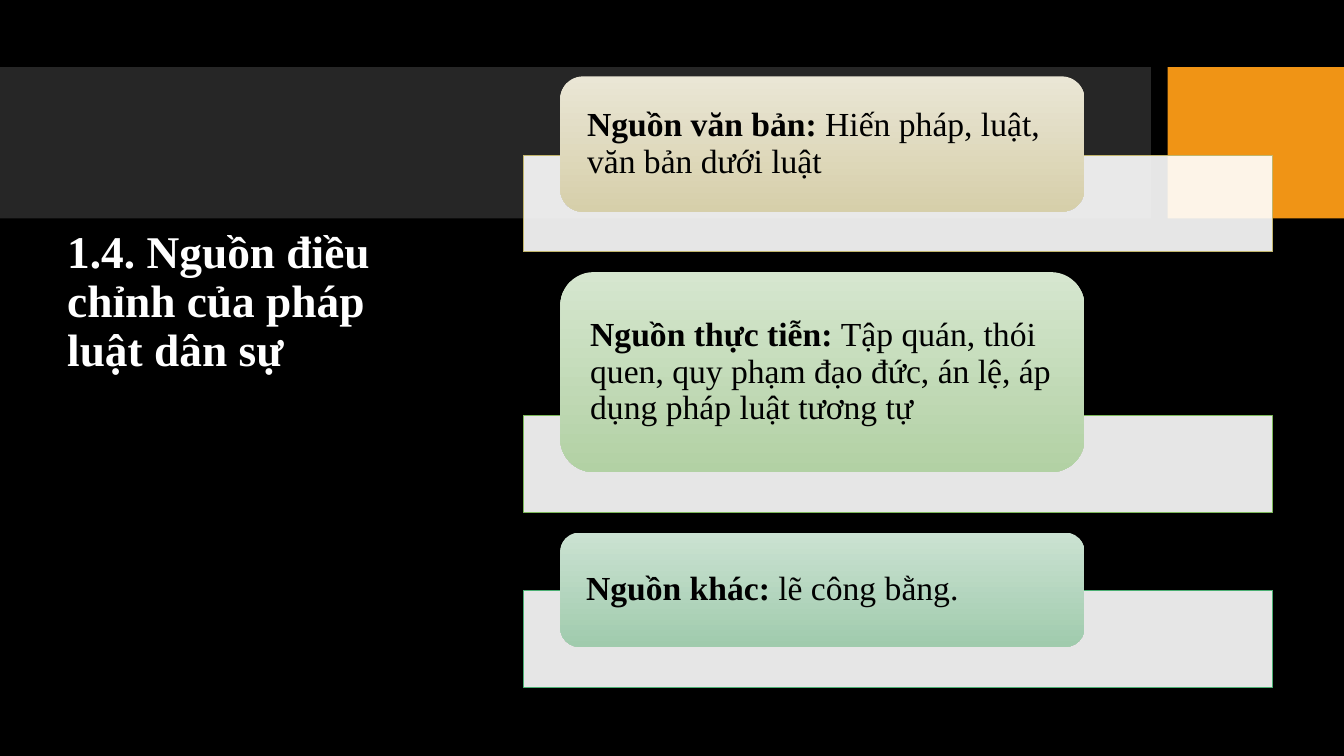
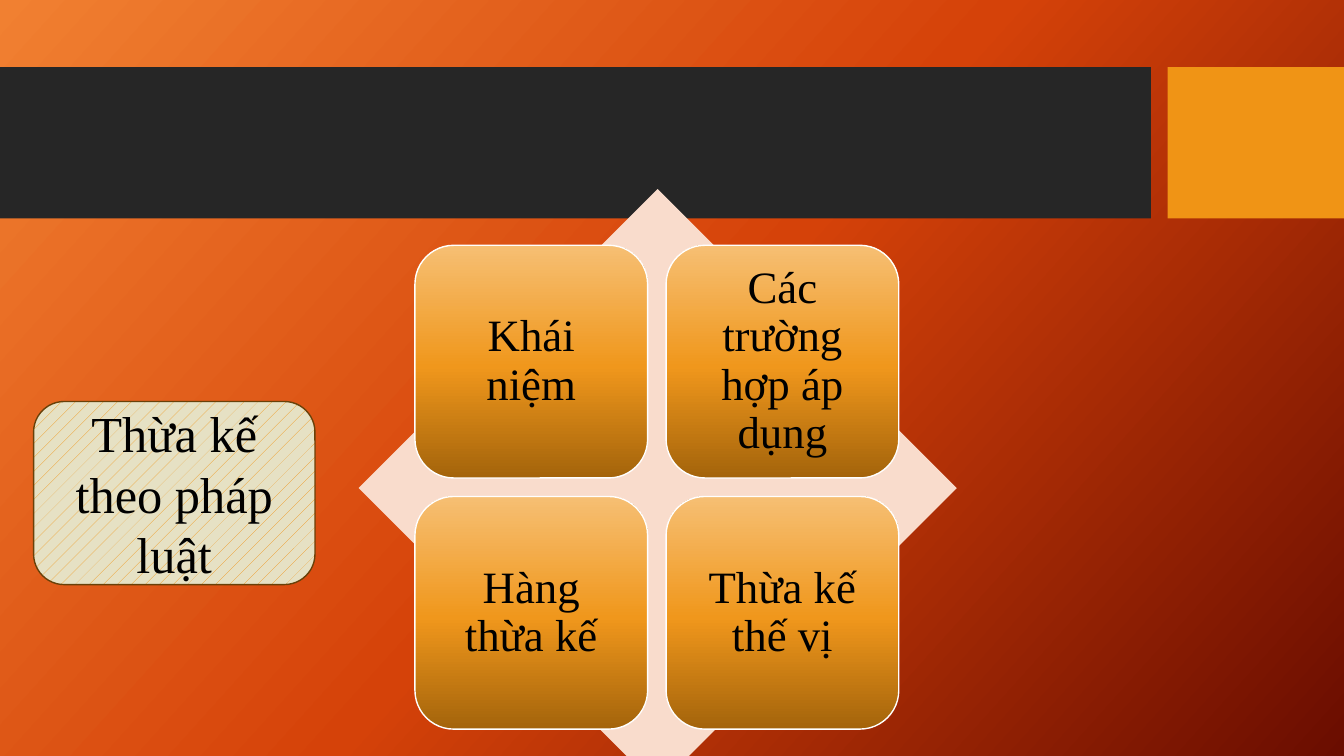
from lxml import etree
from pptx import Presentation, util as u
from pptx.dml.color import RGBColor
from pptx.enum import dml, shapes, text
from pptx.oxml.ns import qn

# Grid: 160 columns by 90 rows, each cell a twelfth of an inch
COLUMNS, ROWS = 160, 90
WIDTH, HEIGHT = u.Inches(13.33), u.Inches(7.5)


def color(hex_string):
    return RGBColor.from_string(hex_string)


def set_gradient(fill, element, stops, angle):
    """Give the fill inside element these (percent, hex) stops; angle is clockwise."""
    fill.gradient()
    fill.gradient_angle = 360 - angle
    stop_list = next(element.iter(qn("a:gsLst")))
    for old_stop in list(stop_list):
        stop_list.remove(old_stop)
    for percent, hex_string in stops:
        stop = etree.SubElement(stop_list, qn("a:gs"), pos=str(percent * 1000))
        etree.SubElement(stop, qn("a:srgbClr"), val=hex_string)


class Deck:
    FONT = "Times New Roman"
    BLACK, WHITE = "000000", "FFFFFF"
    BAND, ACCENT = "262626", "F09415"

    def __init__(self):
        self.presentation = Presentation()
        self.presentation.slide_width = WIDTH
        self.presentation.slide_height = HEIGHT
        self.slide = None

    def box(self, left, top, width, height):
        return (round(left * WIDTH / COLUMNS), round(top * HEIGHT / ROWS),
                round(width * WIDTH / COLUMNS), round(height * HEIGHT / ROWS))

    def add_slide(self, layout_name):
        layout = self.presentation.slide_layouts.get_by_name(layout_name)
        is_first = self.slide is None
        self.slide = self.presentation.slides.add_slide(layout)
        if is_first:
            self.add_master_bands()

    def add_master_bands(self):
        """Draw the two bands once and hand them to the slide master."""
        tree = self.presentation.slide_master.shapes.element
        bands = [(0, 137, self.BAND), (139, 21, self.ACCENT)]
        for index, (left, width, fill) in enumerate(bands):
            band = self.shape("RECTANGLE", (left, 8, width, 18), fill)
            band.element.nvSpPr.cNvPr.set("id", str(100 + index))
            tree.insert(2 + index, band.element)

    def background(self, fill=None, stops=None, angle=0):
        background_fill = self.slide.background.fill
        if stops:
            set_gradient(background_fill, self.slide.element, stops, angle)
        else:
            background_fill.solid()
            background_fill.fore_color.rgb = color(fill)

    def shape(self, kind, place, fill=None, line=None, line_width=1,
              stops=None, angle=0, opacity=100):
        shape = self.slide.shapes.add_shape(
            getattr(shapes.MSO_SHAPE, kind), *self.box(*place))
        shape.shadow.inherit = False
        if stops:
            set_gradient(shape.fill, shape.element, stops, angle)
        else:
            shape.fill.solid()
            shape.fill.fore_color.rgb = color(fill)
        if opacity < 100:
            fill_color = shape.element.spPr.find(qn("a:solidFill"))[0]
            etree.SubElement(fill_color, qn("a:alpha"), val=str(opacity * 1000))
        if line:
            shape.line.color.rgb = color(line)
            shape.line.width = u.Pt(line_width)
        else:
            shape.line.fill.background()
        return shape

    def label(self, shape, parts, size, hex_string=BLACK, align="LEFT",
              spacing=0.9, margins=(0.1, 0.05)):
        """Fill shape with one paragraph of (text, bold) parts."""
        frame = shape.text_frame
        frame.word_wrap = True
        frame.auto_size = text.MSO_AUTO_SIZE.NONE
        frame.vertical_anchor = text.MSO_ANCHOR.MIDDLE
        frame.margin_left = frame.margin_right = u.Inches(margins[0])
        frame.margin_top = frame.margin_bottom = u.Inches(margins[1])
        paragraph = frame.paragraphs[0]
        paragraph.alignment = getattr(text.PP_ALIGN, align)
        paragraph.line_spacing = spacing
        for words, bold in parts:
            run = paragraph.add_run()
            run.text = words
            run.font.name = self.FONT
            run.font.size = u.Pt(size)
            run.font.bold = bold
            run.font.color.rgb = color(hex_string)

    def title(self, words, place):
        title = self.slide.shapes.title
        title.left, title.top, title.width, title.height = self.box(*place)
        self.label(title, [(words, True)], 32.4, self.WHITE)


def build_sources_slide(deck):
    deck.add_slide("Title Only")
    deck.background(deck.BLACK)
    deck.title("1.4. Nguồn điều chỉnh của pháp luật dân sự", (6.8, 27, 44.3, 18))

    # Each card hangs over a pale bar; the next card starts below that bar
    sources = [
        ("Nguồn văn bản: ", "Hiến pháp, luật, văn bản dưới luật",
         16.1, "C1B56B", "EAE6D5", "D6CFAA"),
        ("Nguồn thực tiễn: ",
         "Tập quán, thói quen, quy phạm đạo đức, án lệ, áp dụng pháp luật tương tự",
         23.8, "7DB95A", "D6E6CF", "B2D1A4"),
        ("Nguồn khác: ", "lẽ công bằng.",
         13.6, "4BAF73", "CBE2D2", "A0CBAD"),
    ]
    top, bar_height, overhang, gap = 9.1, 11.5, 4.8, 2.4
    for lead, details, height, line, light, dark in sources:
        bar_bottom = top + height + overhang
        deck.shape("RECTANGLE", (62.3, bar_bottom - bar_height, 89.2, bar_height),
                   deck.WHITE, line, 0.75, opacity=90)
        card = deck.shape("ROUNDED_RECTANGLE", (66.7, top, 62.4, height),
                          stops=[(0, light), (100, dark)], angle=90)
        deck.label(card, [(lead, True), (details, False)], 24, margins=(0.2, 0))
        top = bar_bottom + gap


def build_inheritance_slide(deck):
    deck.add_slide("Blank")
    deck.background(stops=[(0, "F18031"), (50, "D54209"), (100, "6A0D00")], angle=42)

    # Four topics in a two by two grid over a diamond
    deck.shape("DIAMOND", (42.7, 22.5, 71.2, 71.2), "F9DCCC")
    topics = ["Khái niệm", "Các trường hợp áp dụng", "Hàng thừa kế", "Thừa kế thế vị"]
    side, pitch = 27.7, 29.9
    for index, topic in enumerate(topics):
        row, column = divmod(index, 2)
        card = deck.shape(
            "ROUNDED_RECTANGLE",
            (49.4 + column * pitch, 29.2 + row * pitch, side, side), line=deck.WHITE,
            stops=[(0, "A4640B"), (48, "F0971C"), (100, "F6BF73")], angle=270)
        deck.label(card, [(topic, False)], 32, align="CENTER", margins=(0.13, 0.13))

    # Patterned box that names the subject
    subject = deck.shape("ROUNDED_RECTANGLE", (4, 47.8, 33.5, 21.8), "E6E1C4", "694109")
    subject.fill.patterned()
    subject.fill.pattern = dml.MSO_PATTERN.PERCENT_5
    subject.fill.fore_color.rgb = color(deck.ACCENT)
    subject.fill.back_color.rgb = color("E6E1C4")
    deck.label(subject, [("Thừa kế theo pháp luật", False)], 36, align="CENTER", spacing=1.0)


def main():
    deck = Deck()
    build_sources_slide(deck)
    build_inheritance_slide(deck)
    deck.presentation.save("out.pptx")


if __name__ == "__main__":
    main()
